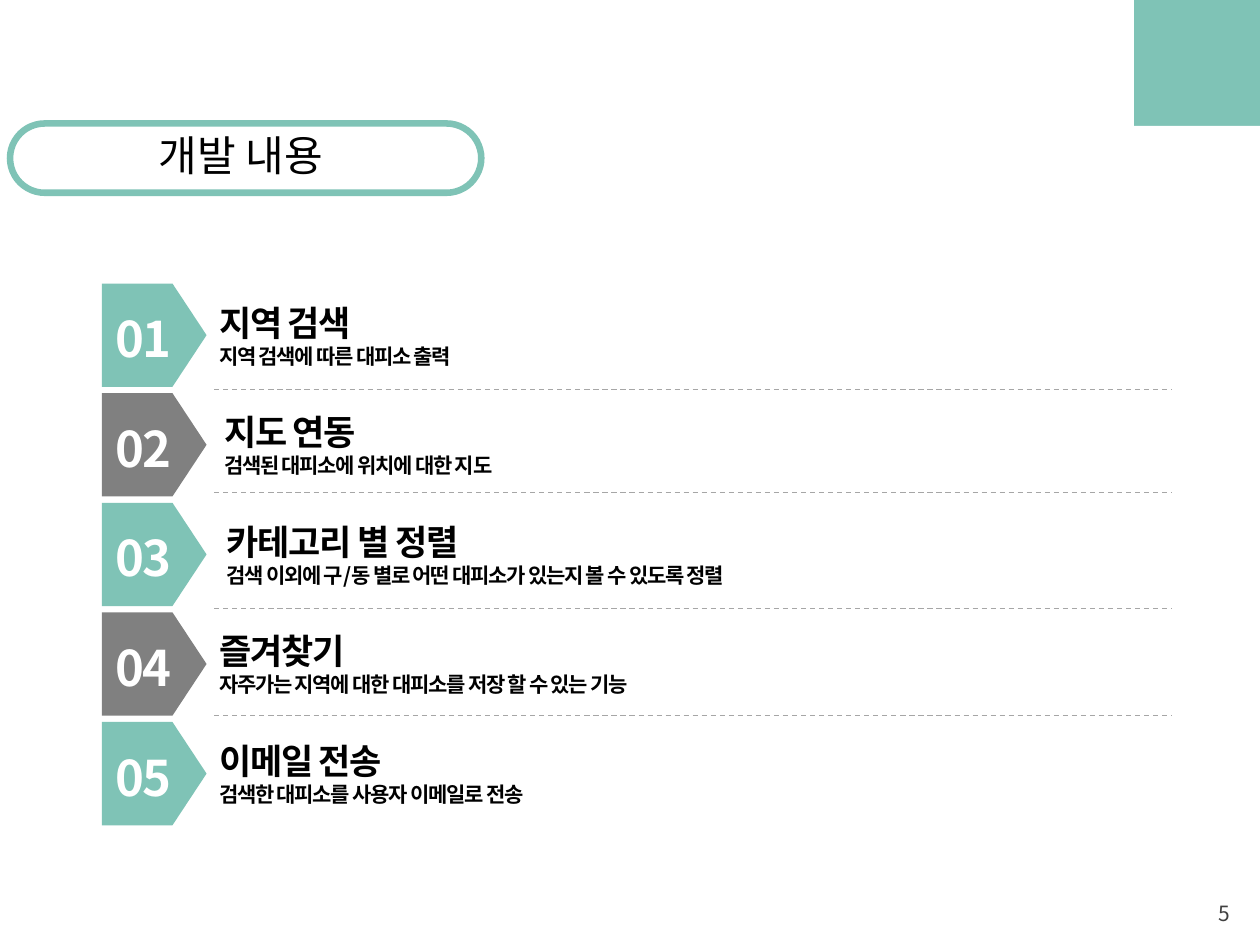
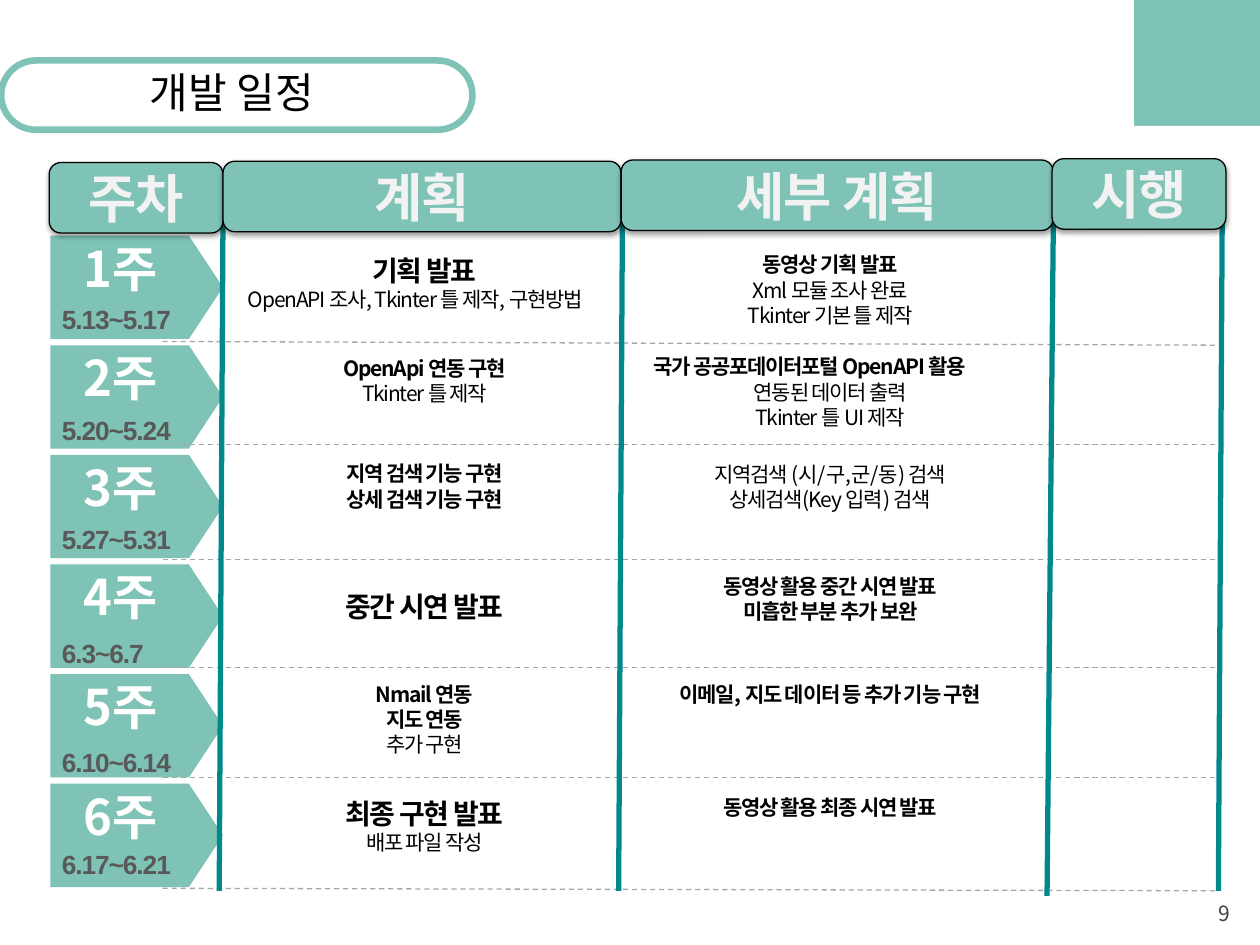
"""Build two slides of a development plan: the feature list and the weekly schedule."""
from lxml import etree
from pptx import Presentation
from pptx import util as u
from pptx.dml.color import RGBColor
from pptx.enum import dml, shapes, text
from pptx.oxml import parse_xml
from pptx.oxml.ns import nsdecls, qn

MINT, TEAL, GREY, RULE = "7FC3B6", "00898B", "808080", "A6A6A6"
WHITE, BLACK = "FFFFFF", "000000"
KOREAN = "Noto Sans CJK KR"
LEFT, CENTER, RIGHT = text.PP_ALIGN.LEFT, text.PP_ALIGN.CENTER, text.PP_ALIGN.RIGHT
WIDTH, HEIGHT = 10, 7.5
PITCH, ARROW_HEIGHT = 0.87, 0.82
LIST_TOP, WEEK_TOP = 2.25, 1.87

TITLE, PAGE_NUMBER = (24, False, LEFT), (12, False, RIGHT)
NUMBER, HEADER, DATE = (28, True, CENTER), (30, True, CENTER), (15, True, LEFT)
ITEM, ITEM_NOTE = (20, True, LEFT), (12, True, LEFT)
HEAD, BOLD, PLAIN = (16, True, CENTER), (12, True, CENTER), (12, False, CENTER)
PLAIN_LEFT = (12, False, LEFT)


def add_block(page, kind, box, fill=None, line=None, weight=0.75, adjust=None):
    """Add a preset shape with the given fill and outline."""
    block = page.shapes.add_shape(kind, *map(u.Inches, box))
    block.shadow.inherit = False
    if adjust is not None:
        block.adjustments[0] = adjust
    if fill:
        block.fill.solid()
        block.fill.fore_color.rgb = RGBColor.from_string(fill)
    else:
        block.fill.background()
    if line:
        block.line.color.rgb = RGBColor.from_string(line)
        block.line.width = u.Pt(weight)
    else:
        block.line.fill.background()
    return block


def write(page, target, lines, color=BLACK, font=KOREAN, spacing=-0.7, inset=True, before=0):
    """Write (words, style) lines into a shape, or into a new text box at the given place."""
    if isinstance(target, tuple):
        target = page.shapes.add_textbox(*map(u.Inches, target))
    frame = target.text_frame
    frame.word_wrap = True
    if not inset:
        frame.margin_left = frame.margin_right = frame.margin_top = frame.margin_bottom = 0
    for index, (words, (size, bold, align)) in enumerate(lines):
        para = frame.paragraphs[0] if index == 0 else frame.add_paragraph()
        para.text = words
        para.alignment = align
        para.space_before = u.Pt(before)
        para.font.size, para.font.bold, para.font.name = u.Pt(size), bold, font
        para.font.color.rgb = RGBColor.from_string(color)
        defaults = para._p.pPr.find(qn("a:defRPr"))
        defaults.set("spc", str(round(spacing * 100)))
        etree.SubElement(defaults, qn("a:ea")).set("typeface", KOREAN)


deck = Presentation()
deck.slide_width, deck.slide_height = u.Inches(WIDTH), u.Inches(HEIGHT)

curve = [(7.78, 0.36), (8.52, 0.36), (9.21, 0.59), (9.78, 0.97)]
arc = []
for step in range(31):
    t = step / 30
    weights = ((1 - t) ** 3, 3 * t * (1 - t) ** 2, 3 * t * t * (1 - t), t ** 3)
    arc.append(tuple(sum(w * point[axis] for w, point in zip(weights, curve)) for axis in (0, 1)))

pages = []
for title, number, left, top in [("개발 내용", "5", 0.08, 0.98), ("개발 일정", "9", 0.01, 0.48)]:
    page = deck.slides.add_slide(deck.slide_layouts[6])
    page.background.fill.solid()
    page.background.fill.fore_color.rgb = RGBColor.from_string(MINT)
    outline = page.shapes.build_freeform(0, 0.36, scale=u.Inches(1))
    outline.add_line_segments(arc + [(WIDTH, 1.14), (WIDTH, HEIGHT), (0, HEIGHT)], close=True)
    paper = outline.convert_to_shape()
    paper.shadow.inherit = False
    paper.fill.solid()
    paper.fill.fore_color.rgb = RGBColor.from_string(WHITE)
    paper.line.fill.background()
    add_block(page, shapes.MSO_SHAPE.ROUNDED_RECTANGLE, (left, top, 3.74, 0.55),
              line=MINT, weight=3.75, adjust=0.5)
    write(page, (left + 1.18, top + 0.05, 8.32, 0.44), [(title, TITLE)], spacing=0, inset=False)
    write(page, (7.61, 7.1, 2.25, 0.25), [(number, PAGE_NUMBER)], "404040", spacing=0)
    pages.append(page)
features, schedule = pages

items = [
    ("지역 검색", "지역 검색에 따른 대피소 출력", 1.64),
    ("지도 연동", "검색된 대피소에 위치에 대한 지도", 1.68),
    ("카테고리 별 정렬", "검색 이외에 구/동 별로 어떤 대피소가 있는지 볼 수 있도록 정렬", 1.7),
    ("즐겨찾기", "자주가는 지역에 대한 대피소를 저장 할 수 있는 기능", 1.64),
    ("이메일 전송", "검색한 대피소를 사용자 이메일로 전송", 1.64),
]
for row, (name, note, left) in enumerate(items):
    top = LIST_TOP + row * PITCH
    add_block(features, shapes.MSO_SHAPE.PENTAGON, (0.81, top, 0.83, ARROW_HEIGHT),
              fill=(MINT, GREY)[row % 2], adjust=0.33)
    write(features, (0.81, top + 0.15, 0.66, 0.52), [(f"{row + 1:02}", NUMBER)], WHITE)
    write(features, (left, top + 0.09, 7.65, 0.64), [(name, ITEM), (note, ITEM_NOTE)])

weeks = [
    ("5.13~5.17", 0.54,
     0.09, [("기획 발표", HEAD), ("OpenAPI 조사, Tkinter 틀 제작, 구현방법", PLAIN_LEFT)],
     0.08, [("동영상 기획 발표", BOLD), ("Xml 모듈 조사 완료", PLAIN), ("Tkinter 기본 틀 제작", PLAIN)]),
    ("5.20~5.24", 0.55,
     0.03, [("OpenApi 연동 구현", BOLD), ("Tkinter 틀 제작", PLAIN)],
     0.02, [("국가 공공포데이터포털 OpenAPI 활용", ITEM_NOTE), ("연동된 데이터 출력", PLAIN),
            ("Tkinter 틀 UI 제작", PLAIN)]),
    ("5.27~5.31", 0.54,
     0, [("지역 검색 기능 구현", BOLD), ("상세 검색 기능 구현", BOLD)],
     0, [("지역검색 (시/구,군/동) 검색", PLAIN), ("상세검색(Key 입력) 검색", PLAIN)]),
    ("6.3~6.7", 0.58,
     0.15, [("중간 시연 발표", HEAD)],
     0.02, [("동영상 활용 중간 시연 발표", BOLD), ("미흡한 부분 추가 보완", BOLD)]),
    ("6.10~6.14", 0.57,
     0.01, [("Nmail 연동", BOLD), ("지도 연동", BOLD), ("추가 구현", PLAIN)],
     0.01, [("이메일, 지도 데이터 등 추가 기능 구현", BOLD)]),
    ("6.17~6.21", 0.51,
     0.05, [("최종 구현 발표", HEAD), ("배포 파일 작성", PLAIN)],
     0.04, [("동영상 활용 최종 시연 발표", BOLD)]),
]
for row, (dates, drop, plan_drop, plan, detail_drop, detail) in enumerate(weeks):
    top = WEEK_TOP + row * PITCH
    add_block(schedule, shapes.MSO_SHAPE.PENTAGON, (0.4, top, 1.37, ARROW_HEIGHT),
              fill=MINT, adjust=0.33)
    write(schedule, (0.41, top - 0.03, 1.1, 0.57), [(f"{row + 1}주", NUMBER)], WHITE)
    write(schedule, (0.49, top + drop, 1.12, 0.25), [(dates, DATE)], "595959", "Arial",
          spacing=-0.6, inset=False, before=5)
    write(schedule, (1.87, top + plan_drop, 3, 0.57), plan)
    write(schedule, (5.09, top + detail_drop, 3, 0.71), detail)

rules = [(features, 1.7, y, 9.3, y, RULE, 0.75) for y in (3.09, 3.91, 4.83, 5.68)]
rules += [(schedule, 1.29, start, right, end, RULE, 0.75) for start, right, end in
          [(2.71, 9.73, 2.74), (3.53, 9.73, 3.53), (4.44, 9.69, 4.44),
           (5.3, 9.65, 5.3), (6.17, 9.65, 6.17), (7.05, 9.65, 7.07)]]
rules += [(schedule, start, 1.75, end, bottom, TEAL, 3) for start, end, bottom in
          [(1.77, 1.74, 7.07), (4.94, 4.91, 7.07), (8.36, 8.31, 7.11), (9.7, 9.67, 7.07)]]
for page, x1, y1, x2, y2, color, weight in rules:
    rule = page.shapes.add_connector(shapes.MSO_CONNECTOR.STRAIGHT,
                                     *map(u.Inches, (x1, y1, x2, y2)))
    rule.line.color.rgb = RGBColor.from_string(color)
    rule.line.width = u.Pt(weight)
    if color == RULE:
        rule.line.dash_style = dml.MSO_LINE.DASH
    etree.SubElement(rule._element.spPr, qn("a:effectLst"))

columns = [("주차", 0.39, 1.29, 1.38), ("계획", 1.77, 1.28, 3.16),
           ("세부 계획", 4.93, 1.27, 3.43), ("시행", 8.35, 1.26, 1.38)]
for name, left, top, width in columns:
    header = add_block(schedule, shapes.MSO_SHAPE.ROUNDED_RECTANGLE, (left, top, width, 0.56),
                       fill=MINT, line=BLACK)
    header._element.spPr.find(qn("a:effectLst")).append(parse_xml(
        f'<a:outerShdw {nsdecls("a")} blurRad="39370" dist="20320" dir="5400000" rotWithShape="0">'
        f'<a:srgbClr val="{BLACK}"><a:alpha val="38000"/></a:srgbClr></a:outerShdw>'))
    header.text_frame.vertical_anchor = text.MSO_ANCHOR.MIDDLE
    write(schedule, header, [(name, HEADER)], "F2F2F2", "Arial", spacing=-0.6, inset=False)

deck.save("out.pptx")
